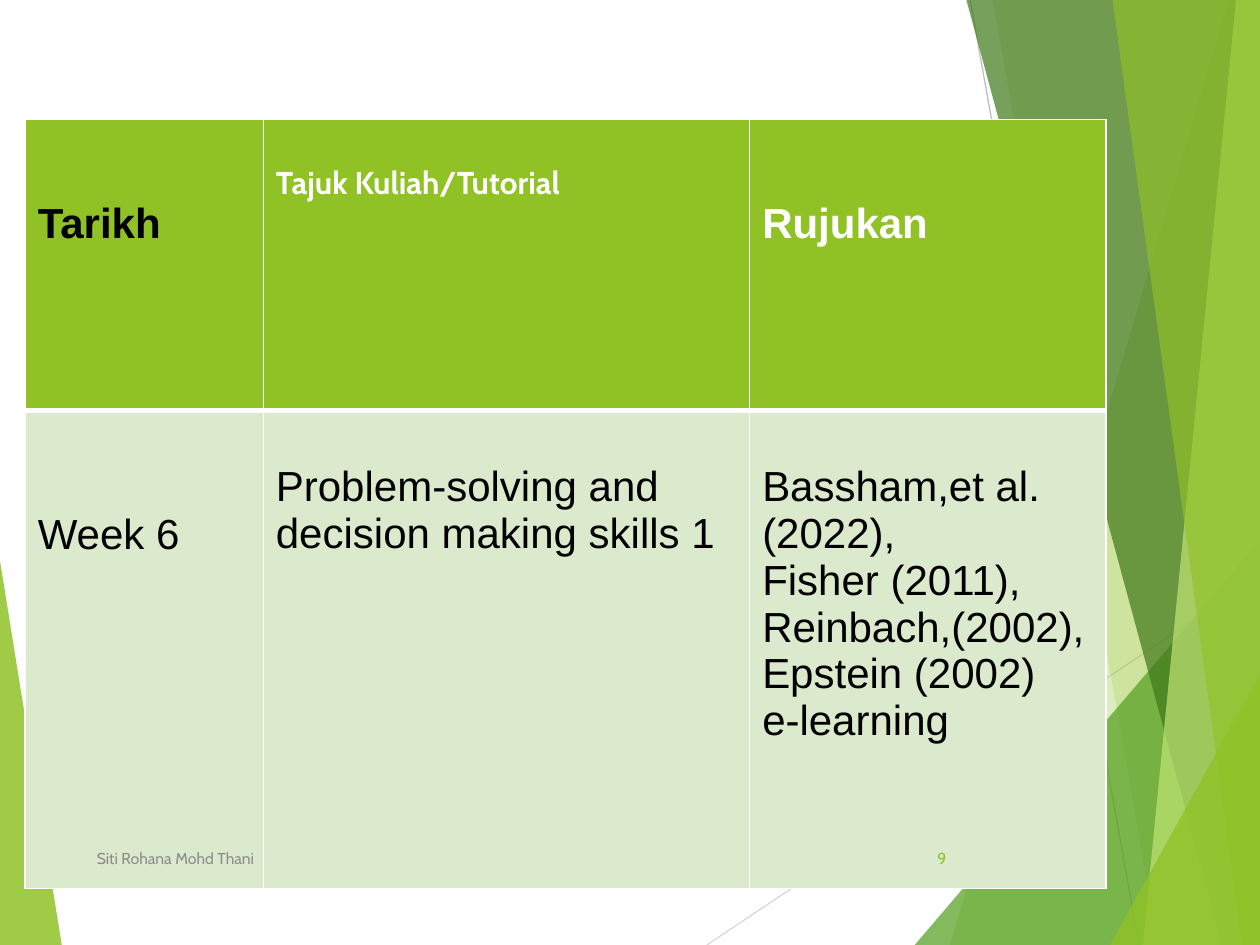
"""Build a lecture schedule slide with a table over green facets."""
from typing import NamedTuple

import lxml.etree
import pptx
import pptx.dml.color
import pptx.enum.shapes
import pptx.enum.text
import pptx.oxml.ns
import pptx.util

Inches = pptx.util.Inches
Pt = pptx.util.Pt
RGBColor = pptx.dml.color.RGBColor
Align = pptx.enum.text.PP_ALIGN
Anchor = pptx.enum.text.MSO_ANCHOR
qn = pptx.oxml.ns.qn

LIME = RGBColor(0x90, 0xC2, 0x26)
GREEN = RGBColor(0x54, 0xA0, 0x21)
DARK = RGBColor(0x3F, 0x78, 0x19)
LIGHT = RGBColor(0xC0, 0xE4, 0x74)
PALE = RGBColor(0xDB, 0xE9, 0xCD)
WHITE = RGBColor(0xFF, 0xFF, 0xFF)
BLACK = RGBColor(0, 0, 0)
GREY = RGBColor(0x8C, 0x8C, 0x8C)
SILVER = RGBColor(0xBF, 0xBF, 0xBF)
MIST = RGBColor(0xD9, 0xD9, 0xD9)

Point = tuple[float, float]


class Facet(NamedTuple):
    points: list[Point]
    color: RGBColor
    alpha: int


class Line(NamedTuple):
    start: Point
    end: Point
    color: RGBColor


class Entry(NamedTuple):
    lines: list[str]
    top: float
    fill: RGBColor
    color: RGBColor = BLACK
    font: str = "Arial"
    size: int = 24
    bold: bool = False


class Note(NamedTuple):
    text: str
    left: float
    width: float
    color: RGBColor
    align: Align


def right(top: float, foot: float, color: RGBColor, alpha: int) -> Facet:
    """Return a facet that fills the right edge from a slanted side."""
    return Facet([(top, 0), (foot, 7.5), (10, 7.5), (10, 0)], color, alpha)


def corner(left: float, top: float, color: RGBColor, alpha: int) -> Facet:
    """Return a triangle in the bottom right corner."""
    return Facet([(left, 7.5), (10, top), (10, 7.5)], color, alpha)


EDGE = Facet([(0, 4.45), (0.49, 7.5), (0, 7.5)], LIME, 85)
LINES = [
    Line((5.61, 7.5), (10, 4.57), MIST),
    Line((7.7, 0), (9.04, 7.5), SILVER),
]
FACETS = [
    right(9.75, 7.54, LIME, 30),
    right(7.88, 9.19, LIME, 20),
    corner(7.26, 4.29, GREEN, 72),
    right(7.67, 9.7, DARK, 70),
    right(9.81, 9.07, LIGHT, 70),
    right(8.83, 9.86, LIME, 65),
    corner(8.81, 5.35, LIME, 80),
]
COLS = [1.89, 3.86, 2.83]
ROWS = [2.31, 3.79]
CELLS = [
    [
        Entry(["Tarikh"], 0.64, LIME, bold=True),
        Entry(["Tajuk Kuliah/Tutorial"], 0.35, LIME, WHITE, "Cabin", 18, True),
        Entry(["Rujukan"], 0.64, LIME, WHITE, bold=True),
    ],
    [
        Entry(["Week 6"], 0.8, PALE),
        Entry(["Problem-solving and decision making skills 1"], 0.42, PALE),
        Entry(
            ["Bassham,et al. (2022),", "Fisher (2011),", "Reinbach,(2002),",
             "Epstein (2002)", "e-learning"],
            0.42, PALE,
        ),
    ],
]
NOTES = [
    Note("Siti Rohana Mohd Thani", 0.67, 5.06, GREY, Align.LEFT),
    Note("9", 7.05, 0.56, LIME, Align.RIGHT),
]


def draw_facet(shapes, facet: Facet) -> None:
    """Draw one translucent polygon."""
    points = [(Inches(x), Inches(y)) for x, y in facet.points]
    pen = shapes.build_freeform(*points[0])
    pen.add_line_segments(points[1:])
    shape = pen.convert_to_shape()
    shape.shadow.inherit = False
    shape.line.fill.background()
    shape.fill.solid()
    shape.fill.fore_color.rgb = facet.color
    color = shape.fill._xPr.find(".//" + qn("a:srgbClr"))
    lxml.etree.SubElement(color, qn("a:alpha"), val=str(facet.alpha * 1000))


def draw_line(shapes, line: Line) -> None:
    """Draw one thin line."""
    ends = [Inches(n) for n in line.start + line.end]
    kind = pptx.enum.shapes.MSO_CONNECTOR.STRAIGHT
    shape = shapes.add_connector(kind, *ends)
    shape.line.color.rgb = line.color
    shape.line.width = Pt(0.75)
    lxml.etree.SubElement(shape._element.spPr, qn("a:effectLst"))


def draw_cell(cell, entry: Entry, widths: dict[str, int]) -> None:
    """Fill one table cell and rule its sides."""
    props = cell._tc.get_or_add_tcPr()
    for side, width in widths.items():
        rule = lxml.etree.SubElement(props, qn("a:ln" + side), w=str(Pt(width)))
        fill = lxml.etree.SubElement(rule, qn("a:solidFill"))
        lxml.etree.SubElement(fill, qn("a:srgbClr"), val=str(WHITE))
    cell.fill.solid()
    cell.fill.fore_color.rgb = entry.fill
    cell.margin_top = Inches(entry.top)
    cell.vertical_anchor = Anchor.TOP
    cell.text_frame.text = "\n".join(entry.lines)
    for par in cell.text_frame.paragraphs:
        par.font.name = entry.font
        par.font.size = Pt(entry.size)
        par.font.bold = entry.bold
        par.font.color.rgb = entry.color


def draw_table(shapes) -> None:
    """Draw the schedule table."""
    box = [Inches(n) for n in (0.2, 0.95, sum(COLS), sum(ROWS))]
    table = shapes.add_table(len(ROWS), len(COLS), *box).table
    table.horz_banding = False
    for col, width in zip(table.columns, COLS):
        col.width = Inches(width)
    for r, (row, height) in enumerate(zip(table.rows, ROWS)):
        row.height = Inches(height)
        widths = {"L": 1, "R": 1, "T": 3 if r else 1, "B": 1 if r else 3}
        for cell, entry in zip(row.cells, CELLS[r]):
            draw_cell(cell, entry, widths)


def draw_note(shapes, note: Note) -> None:
    """Draw one footer text."""
    box = [Inches(n) for n in (note.left, 6.61, note.width, 0.4)]
    frame = shapes.add_textbox(*box).text_frame
    frame.word_wrap = True
    frame.vertical_anchor = Anchor.MIDDLE
    par = frame.paragraphs[0]
    par.text = note.text
    par.alignment = note.align
    par.font.name = "Cabin"
    par.font.size = Pt(9)
    par.font.color.rgb = note.color


def main() -> None:
    """Build and save the slide."""
    deck = pptx.Presentation()
    deck.slide_width = Inches(10)
    deck.slide_height = Inches(7.5)
    shapes = deck.slides.add_slide(deck.slide_layouts[6]).shapes
    draw_facet(shapes, EDGE)
    for line in LINES:
        draw_line(shapes, line)
    for facet in FACETS:
        draw_facet(shapes, facet)
    draw_table(shapes)
    for note in NOTES:
        draw_note(shapes, note)
    deck.save("out.pptx")


if __name__ == "__main__":
    main()
